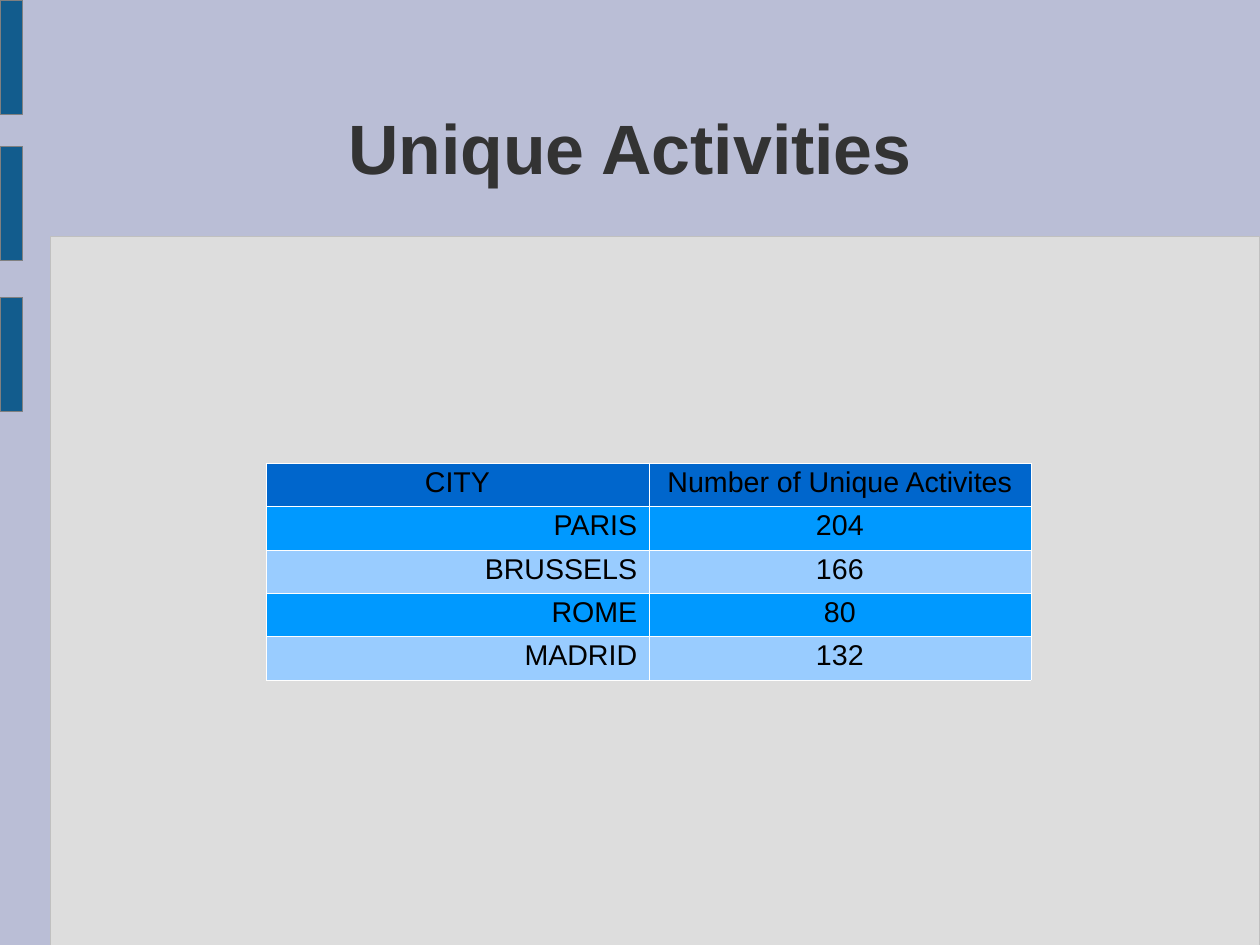
from dataclasses import dataclass

from lxml.etree import SubElement
from pptx import Presentation
from pptx.dml.color import RGBColor
from pptx.dml.fill import FillFormat
from pptx.enum.shapes import MSO_SHAPE
from pptx.enum.text import MSO_ANCHOR, PP_ALIGN
from pptx.oxml.ns import qn
from pptx.slide import Slide
from pptx.table import _Cell
from pptx.text.text import _Paragraph
from pptx.util import Inches, Pt

CM_PER_INCH = 2.54
SLIDE_WIDTH = Inches(28 / CM_PER_INCH)
SLIDE_HEIGHT = Inches(21 / CM_PER_INCH)

BORDER_WIDTH = Pt(0.06)
BORDER_COLOR = "FFFFFF"
HEADER_FILL = "0066CC"
ROW_FILLS = ("0099FF", "99CCFF")


@dataclass
class Panel:
    left: float
    top: float
    width: float
    height: float
    fill: str
    line: str


@dataclass
class CityCount:
    city: str
    activities: str


PANELS = [Panel(0.44, 2.07, 10.58, 6.2, "DDDDDD", "C0C0C0")] + [
    Panel(0, top, 0.2, 1, "125C8D", "808080") for top in (0, 1.28, 2.6)
]

HEADER = CityCount("CITY", "Number of Unique Activites")
CITY_COUNTS = [
    CityCount("PARIS", "204"),
    CityCount("BRUSSELS", "166"),
    CityCount("ROME", "80"),
    CityCount("MADRID", "132"),
]


def set_fill(fill: FillFormat, color: str) -> None:
    fill.solid()
    fill.fore_color.rgb = RGBColor.from_string(color)


def format_paragraph(paragraph: _Paragraph, size: float, color: str,
                     alignment: PP_ALIGN, bold: bool = False) -> None:
    paragraph.alignment = alignment
    paragraph.line_spacing = 0.93
    for run in paragraph.runs:
        run.font.name = "Arial"
        run.font.size = Pt(size)
        run.font.bold = bold
        set_fill(run.font.fill, color)


def draw_panel(slide: Slide, panel: Panel) -> None:
    shape = slide.shapes.add_shape(
        MSO_SHAPE.RECTANGLE, Inches(panel.left), Inches(panel.top),
        Inches(panel.width), Inches(panel.height))
    shape.shadow.inherit = False
    set_fill(shape.fill, panel.fill)
    set_fill(shape.line.fill, panel.line)
    shape.line.width = Pt(0.75)


def draw_title(slide: Slide, title: str) -> None:
    box = slide.shapes.add_textbox(
        Inches(0.81), Inches(0.61), Inches(9.41), Inches(1.38))
    text_frame = box.text_frame
    text_frame.word_wrap = True
    text_frame.vertical_anchor = MSO_ANCHOR.MIDDLE
    text_frame.margin_left = text_frame.margin_right = text_frame.margin_bottom = 0
    text_frame.margin_top = Inches(0.04)
    text_frame.text = title
    format_paragraph(text_frame.paragraphs[0], 44, "333333", PP_ALIGN.CENTER, bold=True)


def add_borders(cell: _Cell) -> None:
    """Outline all four sides; call before filling, as borders precede the fill."""
    properties = cell._tc.get_or_add_tcPr()
    for side in ("a:lnL", "a:lnR", "a:lnT", "a:lnB"):
        line = SubElement(properties, qn(side), w=str(BORDER_WIDTH))
        solid_fill = SubElement(line, qn("a:solidFill"))
        SubElement(solid_fill, qn("a:srgbClr"), val=BORDER_COLOR)


def fill_cell(cell: _Cell, text: str, fill: str, alignment: PP_ALIGN) -> None:
    cell.margin_left = cell.margin_right = Inches(0.1)
    cell.margin_top = cell.margin_bottom = Inches(0.05)
    add_borders(cell)
    set_fill(cell.fill, fill)
    cell.text_frame.text = text
    format_paragraph(cell.text_frame.paragraphs[0], 18, "000000", alignment)


def draw_table(slide: Slide, header: CityCount, counts: list[CityCount]) -> None:
    rows = [header, *counts]
    table = slide.shapes.add_table(
        len(rows), 2, Inches(2.33), Inches(4.05), Inches(6.69), Inches(1.88)).table
    for index, row in enumerate(rows):
        is_header = index == 0
        fill = HEADER_FILL if is_header else ROW_FILLS[(index - 1) % 2]
        city_alignment = PP_ALIGN.CENTER if is_header else PP_ALIGN.RIGHT
        fill_cell(table.cell(index, 0), row.city, fill, city_alignment)
        fill_cell(table.cell(index, 1), row.activities, fill, PP_ALIGN.CENTER)


def main() -> None:
    presentation = Presentation()
    presentation.slide_width = SLIDE_WIDTH
    presentation.slide_height = SLIDE_HEIGHT
    slide = presentation.slides.add_slide(presentation.slide_layouts[6])
    set_fill(slide.background.fill, "BABED6")
    for panel in PANELS:
        draw_panel(slide, panel)
    draw_title(slide, "Unique Activities")
    draw_table(slide, HEADER, CITY_COUNTS)
    presentation.save("out.pptx")


if __name__ == "__main__":
    main()
